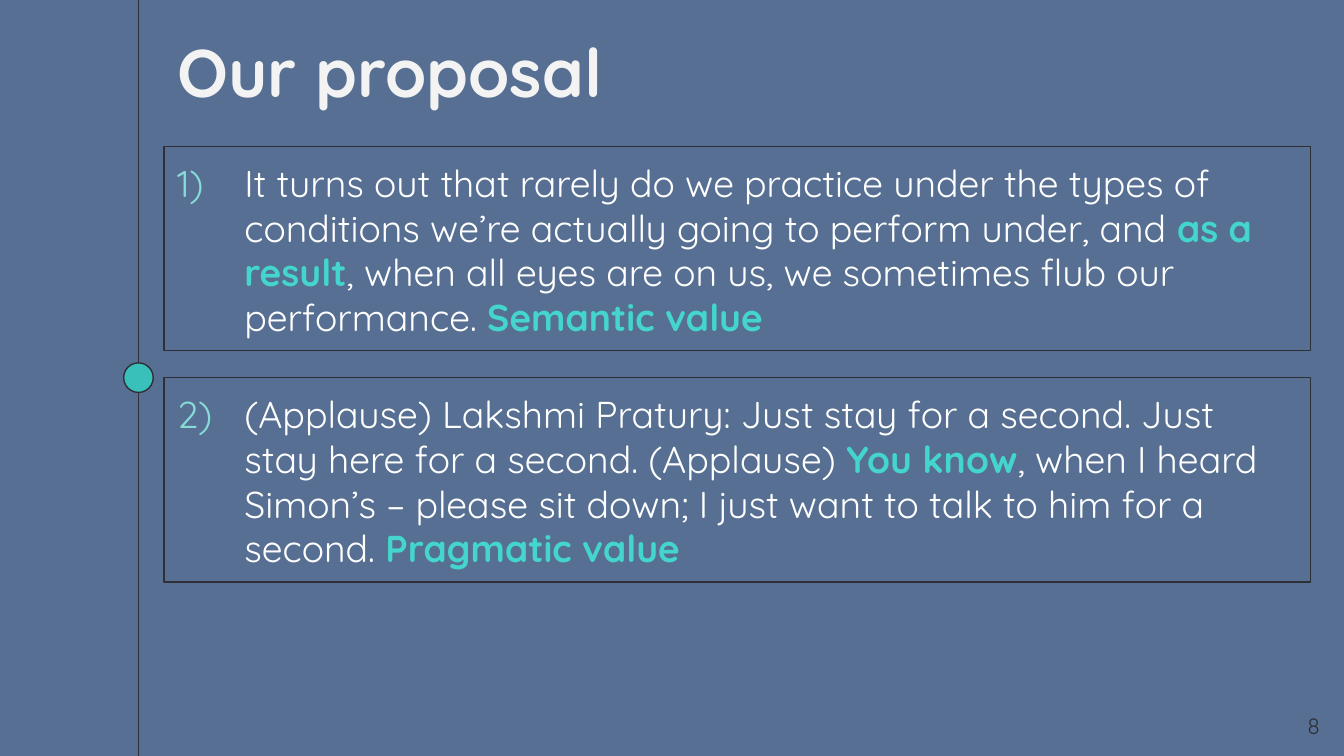
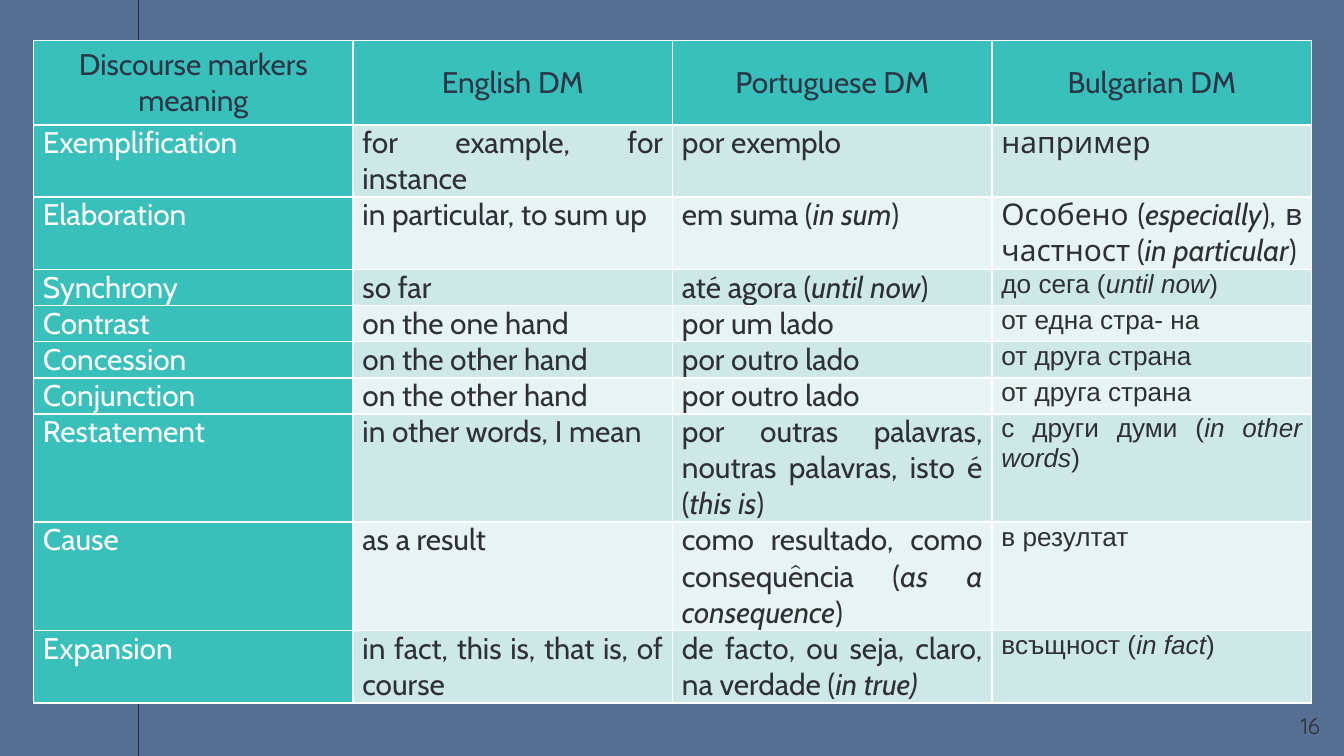
from lxml.etree import SubElement
from pptx import Presentation
from pptx.dml.color import RGBColor
from pptx.enum.shapes import MSO_CONNECTOR as Connector, MSO_SHAPE as Shape
from pptx.enum.text import MSO_ANCHOR as Anchor, MSO_AUTO_SIZE as AutoSize, PP_ALIGN as Align
from pptx.oxml.ns import qn
from pptx.util import Inches, Pt

WIDTH = 10
HEIGHT = WIDTH * 9 / 16
BLUE, INK, TEAL, WHITE = "566F92", "2E3037", "39C0BA", "FFFFFF"
BRIGHT, NUMBER, TITLE, HEADER = "44D5CE", "86DBD7", "F3F3F3", "2B3749"
STRIPES = ["CEE8E7", "E8F4F3"]
TITLE_ONLY, BLANK = 5, 6

PROPOSALS = [
    "It turns out that rarely do we practice under the types of conditions we’re actually "
    "going to perform under, and *as a result*, when all eyes are on us, we sometimes flub "
    "our performance. *Semantic value*",
    "(Applause) Lakshmi Pratury: Just stay for a second. Just stay here for a second. "
    "(Applause) *You know*, when I heard Simon’s – please sit down; I just want to talk to "
    "him for a second. *Pragmatic value*",
]
HEADINGS = ["Discourse markers meaning", "English DM", "Portuguese DM", "Bulgarian DM"]
MARKERS = [
    ["Exemplification", "for example, for instance", "por exemplo", "например"],
    ["Elaboration", "in particular, to sum up", "em suma (*in sum*)",
     "Особено (*especially*), в частност (*in particular*)"],
    ["Synchrony", "so far", "até agora (*until now*)", "до сега (*until now*)"],
    ["Contrast", "on the one hand", "por um lado", "от една стра- на"],
    ["Concession", "on the other hand", "por outro lado", "от друга страна"],
    ["Conjunction", "on the other hand", "por outro lado", "от друга страна"],
    ["Restatement", "in other words, I mean",
     "por outras palavras, noutras palavras, isto é (*this is*)",
     "с други думи (*in other words*)"],
    ["Cause", "as a result", "como resultado, como consequência (*as a consequence*)",
     "в резултат"],
    ["Expansion", "in fact, this is, that is, of course",
     "de facto, ou seja, claro, na verdade (*in true)*", "всъщност (*in fact*)"],
]
FIRST_ARIAL_ROW = 3


def rgb(value):
    """Turn a hex string into a colour."""
    return RGBColor.from_string(value)


def paint(part, color):
    """Give a shape, cell or background a solid fill."""
    part.fill.solid()
    part.fill.fore_color.rgb = rgb(color)


def outline(shape):
    """Draw the thin dark line shared by all shapes."""
    shape.line.color.rgb = rgb(INK)
    shape.line.width = Pt(0.75)


def write(para, text, font, size, color, bold=False, italic=False, marked=None):
    """Add text run by run; parts between asterisks take the marked style."""
    for index, piece in enumerate(text.split("*")):
        if not piece:
            continue
        style = {"color": color, "bold": bold, "italic": italic}
        if index % 2:
            style.update(marked)
        span = para.add_run()
        span.text = piece
        span.font.name = font
        span.font.size = Pt(size)
        span.font.bold = style["bold"]
        span.font.italic = style["italic"]
        span.font.color.rgb = rgb(style["color"])


def set_frame(box, anchor=Anchor.TOP):
    """Prepare a wrapped text frame and return its first paragraph."""
    frame = box.text_frame
    frame.word_wrap = True
    frame.auto_size = AutoSize.NONE
    frame.vertical_anchor = anchor
    frame.margin_left = frame.margin_right = Inches(0.1)
    frame.margin_top = frame.margin_bottom = Inches(0.1)
    para = frame.paragraphs[0]
    para.alignment = Align.LEFT
    return para


def number_paragraph(para, start):
    """Give a paragraph a hanging coloured number."""
    props = para._p.get_or_add_pPr()
    props.set("marL", str(Inches(0.5)))
    props.set("indent", str(-Inches(0.5)))
    SubElement(SubElement(props, qn("a:buClr")), qn("a:srgbClr"), val=NUMBER)
    SubElement(props, qn("a:buFont"), typeface="Quicksand")
    SubElement(props, qn("a:buAutoNum"), type="arabicParenR", startAt=str(start))


def add_page(deck, layout, number):
    """Add a slide with the background, timeline and page number."""
    page = deck.slides.add_slide(deck.slide_layouts[layout])
    paint(page.background, BLUE)
    axis = Inches(1.03)
    timeline = page.shapes.add_connector(Connector.STRAIGHT, axis, 0, axis, Inches(HEIGHT))
    outline(timeline)
    SubElement(timeline._element.spPr, qn("a:effectLst"))
    dot = page.shapes.add_shape(
        Shape.OVAL, Inches(0.92), Inches(2.7), Inches(0.22), Inches(0.22))
    dot.shadow.inherit = False
    paint(dot, TEAL)
    outline(dot)
    box = page.shapes.add_textbox(Inches(9.32), Inches(5.2), Inches(0.6), Inches(0.34))
    para = set_frame(box)
    para.alignment = Align.RIGHT
    write(para, str(number), "Quicksand", 12, INK)
    return page


def place_title(page, text, left, top, width, height):
    """Move and format the title placeholder."""
    title = page.shapes.title
    title.left, title.top = Inches(left), Inches(top)
    title.width, title.height = Inches(width), Inches(height)
    write(set_frame(title, Anchor.MIDDLE), text, "Quicksand", 36, TITLE, bold=True)


def add_proposal(page, number, text, left, top, width, height):
    """Add one outlined box with a numbered example."""
    box = page.shapes.add_shape(
        Shape.RECTANGLE, Inches(left), Inches(top), Inches(width), Inches(height))
    box.shadow.inherit = False
    box.fill.background()
    outline(box)
    para = set_frame(box)
    number_paragraph(para, number)
    write(para, text, "Quicksand", 20, WHITE, marked={"color": BRIGHT, "bold": True})


def set_borders(cell):
    """Draw white borders on all sides of a cell."""
    props = cell._tc.get_or_add_tcPr()
    for index, side in enumerate(["lnL", "lnR", "lnT", "lnB"]):
        line = props.makeelement(qn("a:" + side), {"w": str(Pt(1))})
        SubElement(SubElement(line, qn("a:solidFill")), qn("a:srgbClr"), val=WHITE)
        props.insert(index, line)


def fill_cell(cell, text, fill, color, align, font="Cabin", size=16):
    """Write and format one table cell."""
    paint(cell, fill)
    set_borders(cell)
    cell.margin_left = cell.margin_right = Inches(0.07)
    cell.margin_top = cell.margin_bottom = 0
    para = cell.text_frame.paragraphs[0]
    para.alignment = align
    write(para, text, font, size, color, marked={"italic": True})


def add_marker_table(page, left, top, width, height):
    """Add the table of discourse markers in three languages."""
    frame = page.shapes.add_table(
        len(MARKERS) + 1, len(HEADINGS),
        Inches(left), Inches(top), Inches(width), Inches(height))
    table = frame.table
    for index, row in enumerate(table.rows):
        row.height = Inches(0.24 if index else 0.63)
    frame.height = Inches(height)
    for column, heading in enumerate(HEADINGS):
        cell = table.cell(0, column)
        fill_cell(cell, heading, TEAL, HEADER, Align.CENTER)
        cell.vertical_anchor = Anchor.MIDDLE
    last = len(HEADINGS) - 1
    for row, texts in enumerate(MARKERS, 1):
        stripe = STRIPES[(row - 1) % 2]
        for column, text in enumerate(texts):
            fill, color = (stripe, INK) if column else (TEAL, WHITE)
            arial = column == last and row >= FIRST_ARIAL_ROW
            font, size = ("Arial", 14) if arial else ("Cabin", 16)
            fill_cell(table.cell(row, column), text, fill, color, Align.JUSTIFY, font, size)


def build_proposal(deck):
    """Build the slide with the two examples."""
    page = add_page(deck, TITLE_ONLY, 8)
    place_title(page, "Our proposal", 1.22, 0.19, 7.3, 0.67)
    for index, text in enumerate(PROPOSALS):
        add_proposal(page, index + 1, text, 1.22, 1.09 + index * 1.72, 8.53, 1.52)


def build_markers(deck):
    """Build the slide with the table."""
    page = add_page(deck, BLANK, 16)
    add_marker_table(page, 0.25, 0.3, 9.51, 4.89)


def main():
    """Build and save the deck."""
    deck = Presentation()
    deck.slide_width, deck.slide_height = Inches(WIDTH), Inches(HEIGHT)
    build_proposal(deck)
    build_markers(deck)
    deck.save("out.pptx")


if __name__ == "__main__":
    main()
